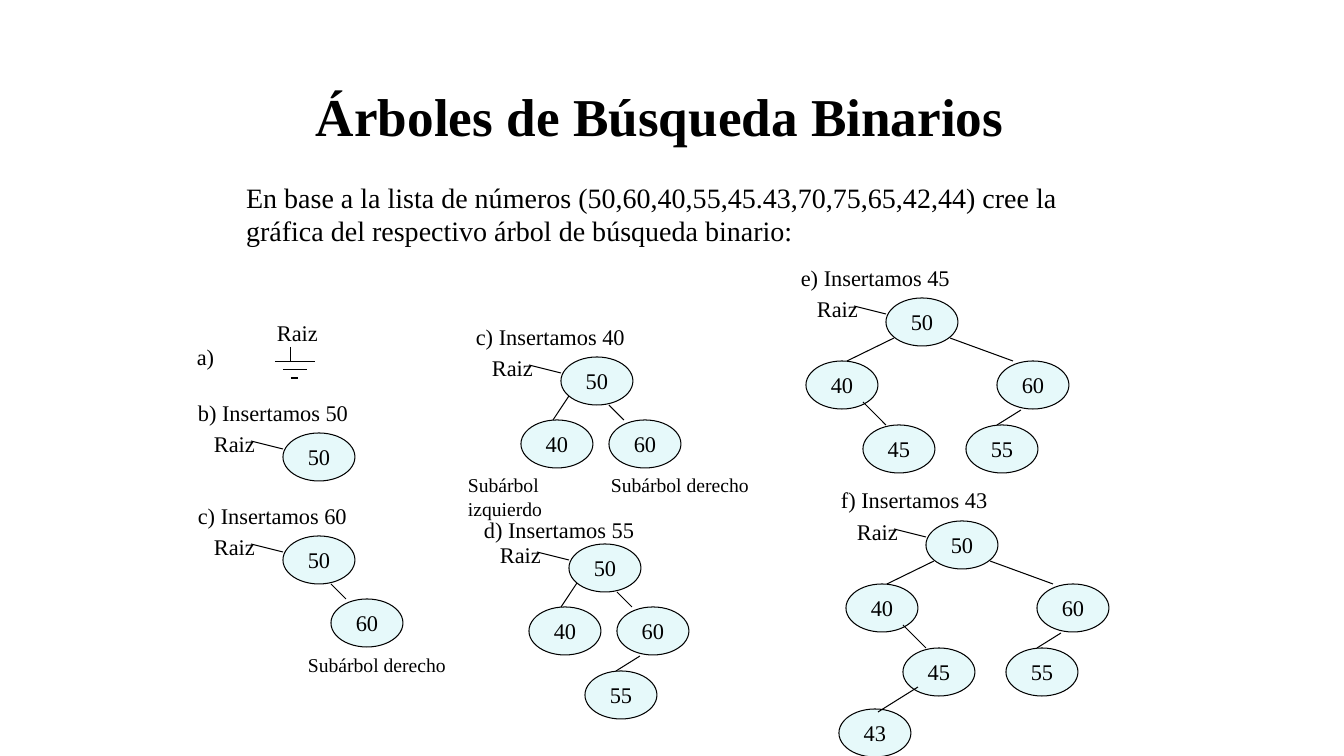
from lxml import etree
from pptx import Presentation
from pptx.dml.color import RGBColor
from pptx.enum import shapes, text
from pptx.oxml import ns
from pptx.util import Emu, Pt

SCALE = 914400 / 100.8
BLACK = RGBColor(0x00, 0x00, 0x00)
NODE_FILL = RGBColor(0xE6, 0xF9, 0xFA)
FONT = "Times New Roman"
NODE_W, NODE_H = 72, 48
LEFT, CENTER = text.PP_ALIGN.LEFT, text.PP_ALIGN.CENTER
TOP, MIDDLE, BOTTOM = (text.MSO_ANCHOR.TOP, text.MSO_ANCHOR.MIDDLE,
                       text.MSO_ANCHOR.BOTTOM)
FIXED = text.MSO_AUTO_SIZE.NONE
GROW = text.MSO_AUTO_SIZE.SHAPE_TO_FIT_TEXT

RIGHT_60 = ("60", (48, 63), (48, 48, 63, 63))
LEFT_40 = ("40", (-40, 63), (8, 39, -8, 63))
SMALL_55 = ("55", (16, 127), (71, 112, 47, 127))
WIDE = [("60", (111, 63), (64, 40, 127, 63)),
        ("40", (-80, 63), (8, 40, -39, 63)),
        ("55", (80, 127), (135, 112, 111, 127)),
        ("45", (-23, 127), (-23, 104, 0, 127))]
LEFT_43 = ("43", (-87, 188), (-8, 166, -48, 191))
RIGHT_NOTE = ("Subárbol derecho", (40, 111, 160, 34))
LEFT_NOTE = ("Subárbol izquierdo", (-103, 111, 158, 57))

TREES = [
    ("b) Insertamos 50", (283, 433), -39, [], []),
    ("c) Insertamos 60", (283, 536), -39, [RIGHT_60],
     [("Subárbol derecho", (15, 112, 160, 34))]),
    ("c) Insertamos 40", (561, 357), -39, [RIGHT_60, LEFT_40],
     [RIGHT_NOTE, LEFT_NOTE]),
    ("d) Insertamos 55", (569, 544), -33, [RIGHT_60, LEFT_40, SMALL_55], []),
    ("e) Insertamos 45", (886, 298), -39, WIDE, []),
    ("f) Insertamos 43", (926, 521), -40, WIDE + [LEFT_43], []),
]


def px(*values):
    return [Emu(round(v * SCALE)) for v in values]


def apply(target, formats):
    for name, value in formats.items():
        setattr(target, name, value)


def write(sp, words, size, align=LEFT, anchor=TOP, wrap=True, fit=FIXED,
          bold=False):
    tf = sp.text_frame
    tf.text = words
    apply(tf, {"word_wrap": wrap, "auto_size": fit, "vertical_anchor": anchor})
    p = tf.paragraphs[0]
    apply(p, {"alignment": align, "space_before": Pt(0)})
    r = p.runs[0]
    apply(r.font, {"name": FONT, "size": Pt(size), "bold": bold})
    r.font.color.rgb = BLACK
    return p


def add_label(s, words, box, size=16):
    write(s.shapes.add_textbox(*px(*box)), words, size, fit=GROW)


def add_line(s, x, y, ends):
    x1, y1, x2, y2 = ends
    line = s.shapes.add_connector(shapes.MSO_CONNECTOR.STRAIGHT,
                                  *px(x + x1, y + y1, x + x2, y + y2))
    line.line.color.rgb = BLACK
    line.line.width = Pt(0.75)
    etree.SubElement(line._element.spPr, ns.qn("a:effectLst"))


def add_node(s, key, x, y):
    sp = s.shapes.add_shape(shapes.MSO_SHAPE.OVAL, *px(x, y, NODE_W, NODE_H))
    sp.shadow.inherit = False
    sp.fill.solid()
    sp.fill.fore_color.rgb = NODE_FILL
    sp.line.color.rgb = BLACK
    sp.line.width = Pt(0.75)
    write(sp, key, 16, CENTER, MIDDLE, wrap=False)


def place(sp, box):
    apply(sp, dict(zip(("left", "top", "width", "height"), px(*box))))


def add_heading(s, box):
    place(s.shapes.title, box)
    write(s.shapes.title, "Árboles de Búsqueda Binarios", 38, CENTER, BOTTOM,
          bold=True)


def add_exercise(s, box):
    body = s.placeholders[1]
    place(body, box)
    p = write(body, "En base a la lista de números "
              "(50,60,40,55,45.43,70,75,65,42,44) cree la gráfica del "
              "respectivo árbol de búsqueda binario:", 20)
    pPr = p._p.get_or_add_pPr()
    for name in ("marL", "indent"):
        pPr.set(name, "0")
    etree.SubElement(pPr, ns.qn("a:buNone"))


def add_empty_tree(s, x, y):
    add_label(s, "Raiz", (x + 80, y, 64, 37))
    add_label(s, "a)", (x, y + 24, 40, 37))
    add_line(s, x, y, (104, 33, 104, 48))
    for ends in ((88, 48, 128, 48), (96, 56, 120, 56), (104, 64, 111, 64)):
        add_line(s, x, y, ends)


def add_tree(s, caption, root, caption_dy, branches, notes):
    x, y = root
    add_label(s, caption, (x - 95, y + caption_dy, 175, 37))
    add_label(s, "Raiz", (x - 79, y - 8, 64, 37))
    add_node(s, "50", x, y)
    add_line(s, x, y, (-32, 8, 0, 16))
    for key, (dx, dy), _ in branches:
        add_node(s, key, x + dx, y + dy)
    for _, _, ends in branches:
        add_line(s, x, y, ends)
    for words, (dx, dy, w, h) in notes:
        add_label(s, words, (x + dx, y + dy, w, h), 14)


prs = Presentation()
prs.slide_width, prs.slide_height = px(1344, 756)
s = prs.slides.add_slide(prs.slide_layouts[1])
add_heading(s, (219, 69, 882, 83))
add_exercise(s, (236, 175, 873, 78))
add_empty_tree(s, 187, 314)
for tree in TREES:
    add_tree(s, *tree)
prs.save("out.pptx")
